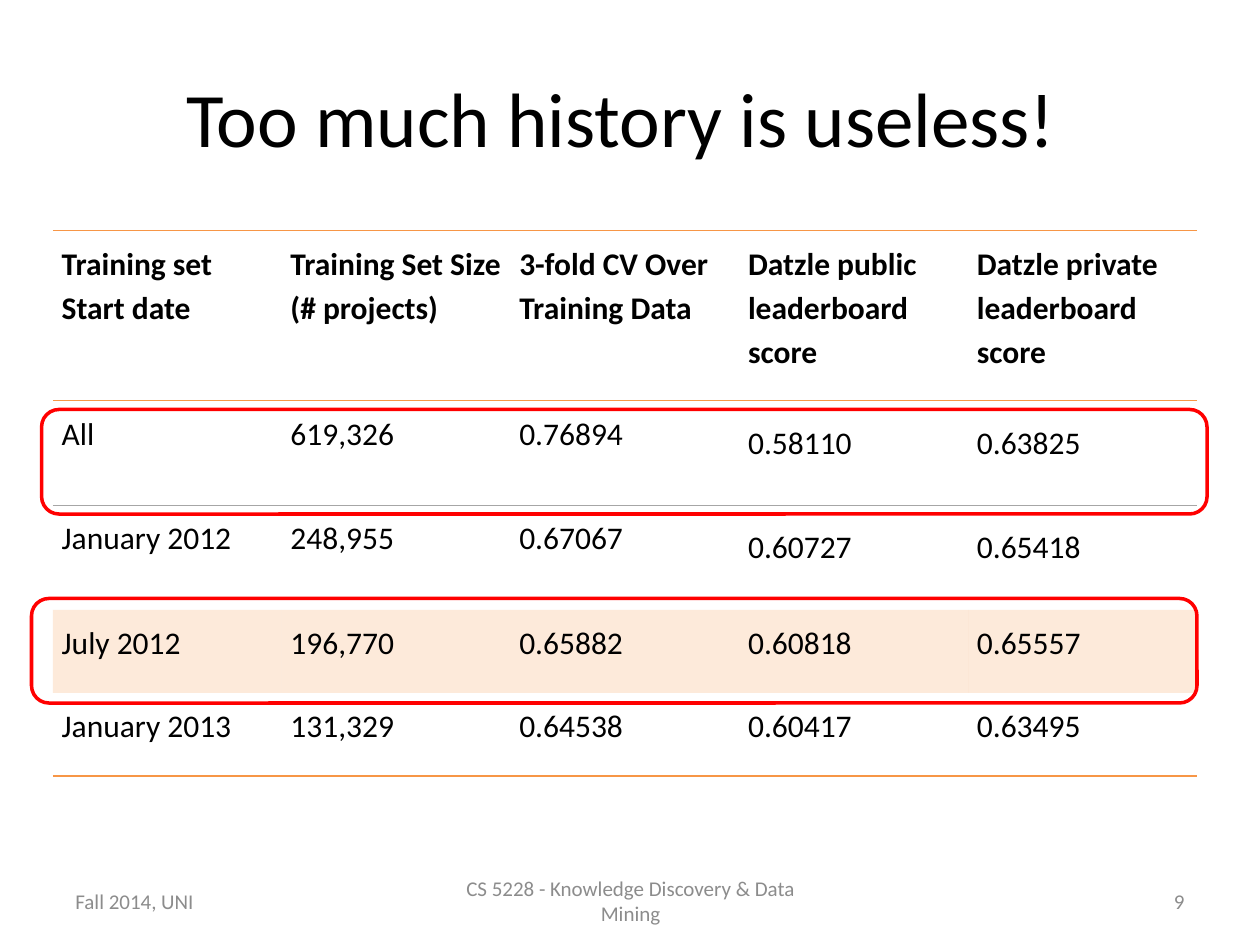
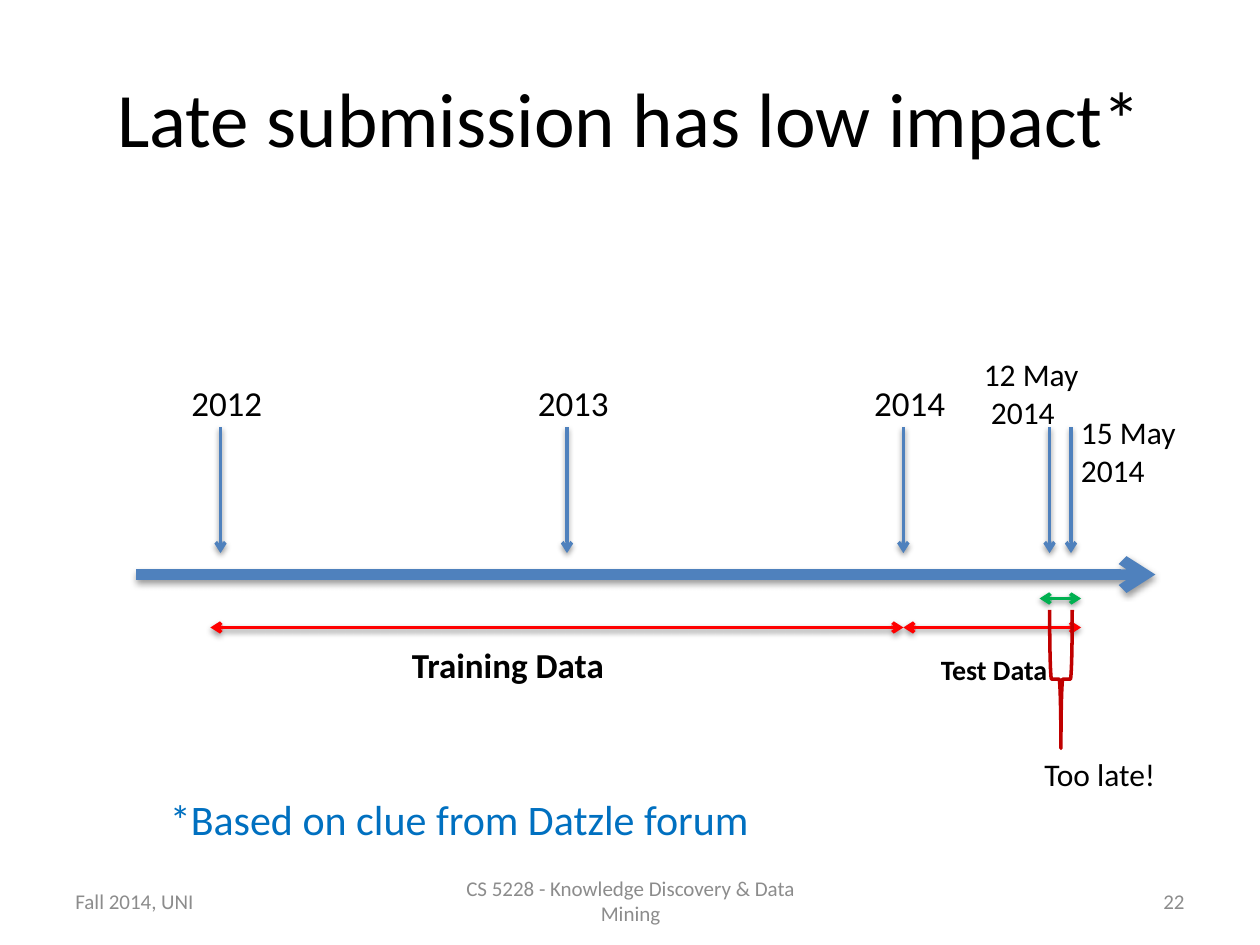
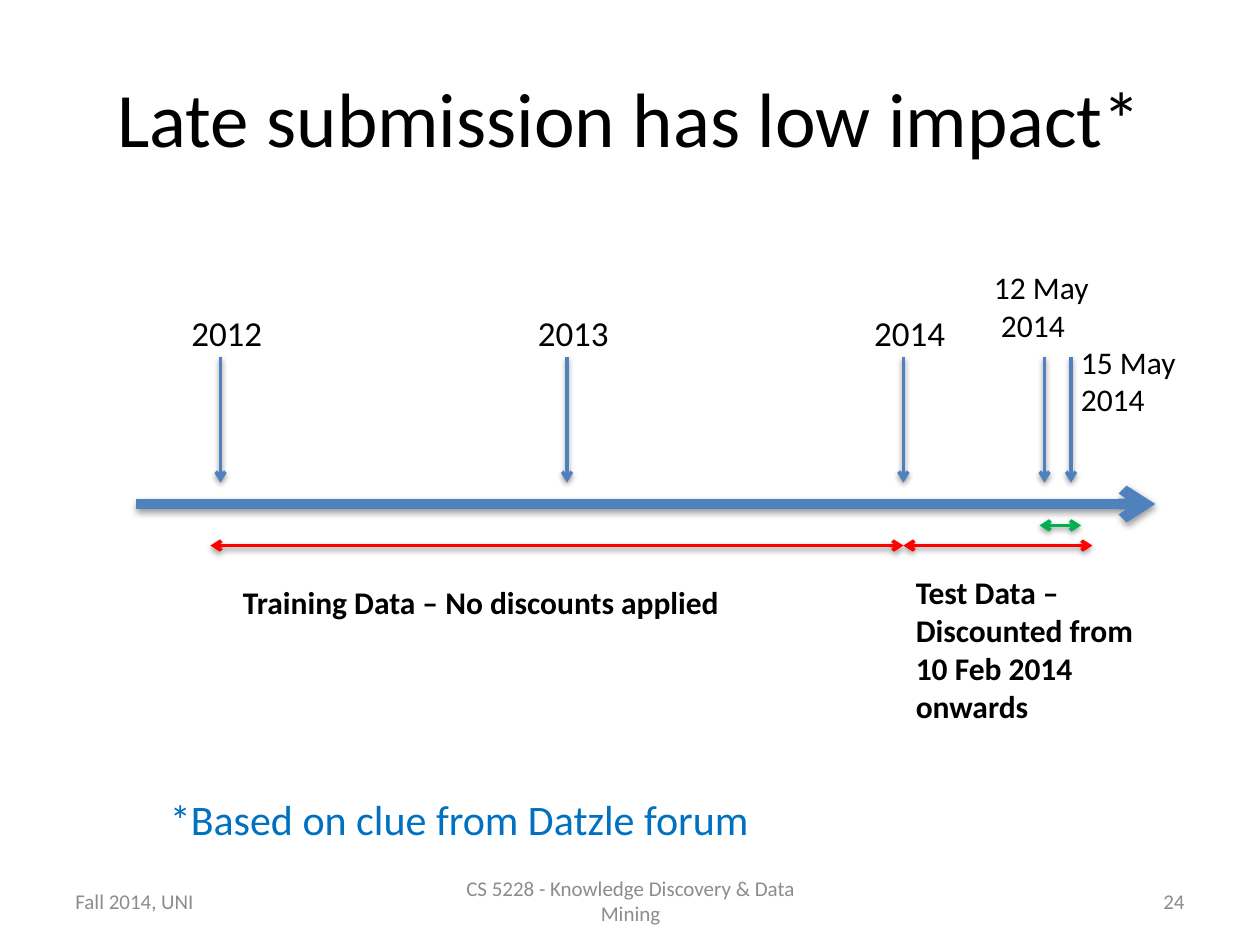
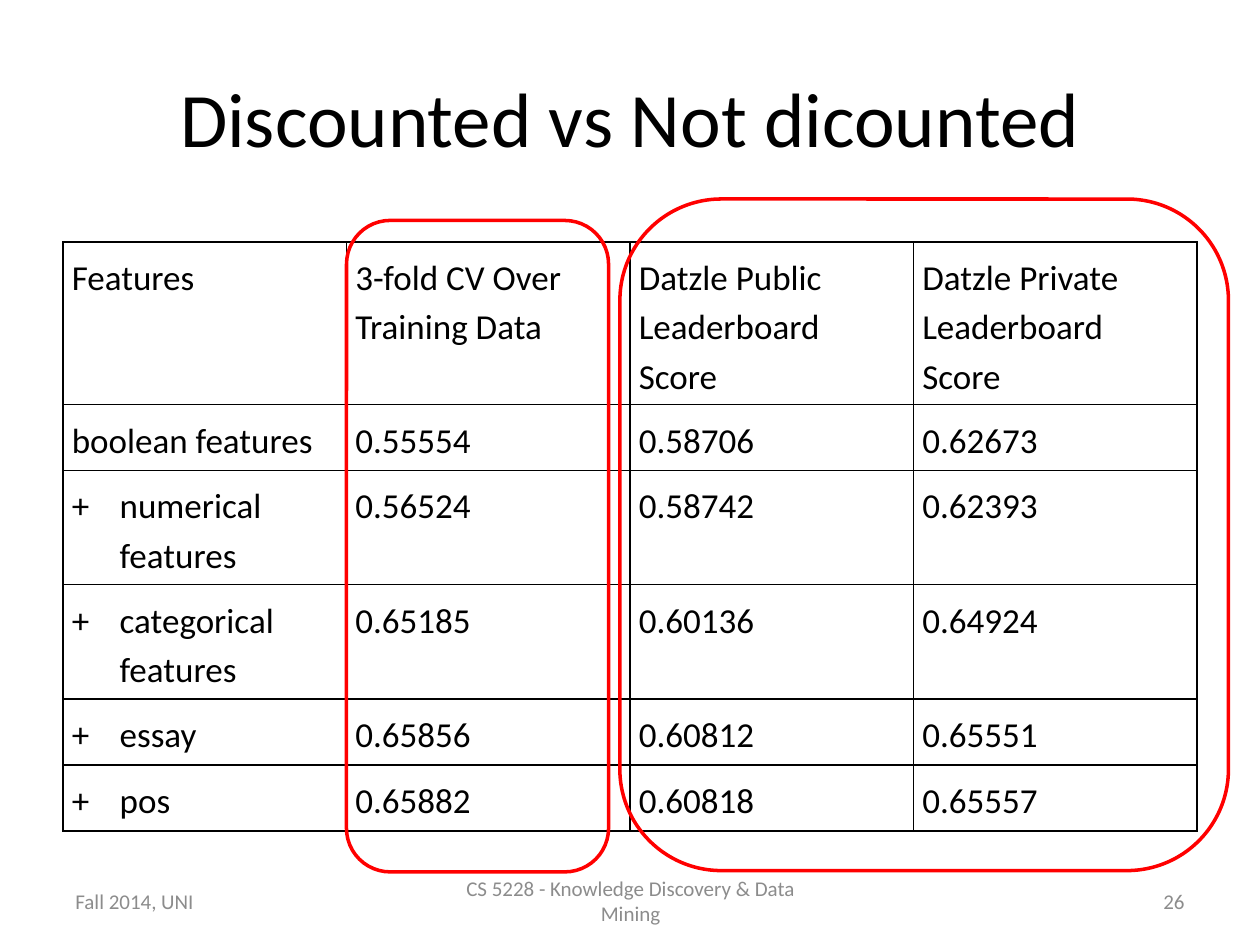
"""Build four slides on training history, submission timing and discounting."""
from lxml import etree
from pptx import Presentation, util as u
from pptx.dml.color import RGBColor
from pptx.enum import shapes, text
from pptx.oxml.ns import qn

WIDTH, HEIGHT = 10, 7.5
FONT = "Calibri"
BLACK, GRAY, RED, BLUE = "000000", "8C8C8C", "FF0000", "4F81BD"
GREEN, DARK_RED, NOTE_BLUE, ORANGE = "00B050", "C00000", "0070C0", "F79646"
WHITE, RULE_GRAY = "FFFFFF", "A6A6A6"
LEFT, CENTER, RIGHT = text.PP_ALIGN.LEFT, text.PP_ALIGN.CENTER, text.PP_ALIGN.RIGHT
NO_STYLE = "{2D5ABB26-0587-4C30-8999-92F81FD0307C}"

FOOTERS = [
    ("Fall 2014, UNI", 0.5, 2.33, LEFT),
    ("CS 5228 - Knowledge Discovery & Data Mining", 3.42, 3.17, CENTER),
]

HISTORY = {
    "title": "Too much history is useless! ",
    "number": 9,
    "rows": [
        ["Training set Start date", "Training Set Size (# projects)",
         "3-fold CV Over Training Data", "Datzle public leaderboard score",
         "Datzle private leaderboard\nscore"],
        ["All", "619,326", "0.76894", "0.58110", "0.63825"],
        ["January 2012", "248,955", "0.67067", "0.60727", "0.65418"],
        ["July 2012", "196,770", "0.65882", "0.60818", "0.65557"],
        ["January 2013", "131,329", "0.64538", "0.60417", "0.63495"],
    ],
    "box": (0.42, 1.83, 9.08, 4.33),
    "heights": [1.35, 0.83, 0.83, 0.66, 0.66],
    "size": 18,
    "bold_header": True,
    "edges": {0: {"T": (ORANGE, 1), "B": (ORANGE, 1)},
              1: {"T": (RULE_GRAY, 0.5)},
              4: {"B": (ORANGE, 1)}},
    "fills": {1: WHITE, 3: ORANGE},
    "deep_cells": [(row, column) for row in (1, 2) for column in (3, 4)],
    "rings": [(0.33, 3.25, 9.25, 0.83), (0.25, 4.75, 9.25, 0.83)],
}

DISCOUNT = {
    "title": "Discounted vs Not dicounted",
    "number": 26,
    "rows": [
        ["Features", "3-fold CV Over Training Data",
         "Datzle Public Leaderboard Score", "Datzle Private Leaderboard Score"],
        ["boolean features", "0.55554", "0.58706", "0.62673"],
        ["numerical features", "0.56524", "0.58742", "0.62393"],
        ["categorical features", "0.65185", "0.60136", "0.64924"],
        ["essay", "0.65856", "0.60812", "0.65551"],
        ["pos", "0.65882", "0.60818", "0.65557"],
    ],
    "box": (0.5, 1.92, 9, 4.67),
    "heights": [0.41] * 6,
    "size": 20,
    "edges": {row: {side: (BLACK, 1) for side in "LRTB"} for row in range(6)},
    "plus_rows": range(2, 6),
    "rings": [(2.75, 1.75, 2.08, 5.17), (4.92, 1.58, 4.83, 5.33)],
}

TIMELINE_TITLE = "Late submission has low impact*"
YEARS = [("2012", 1.75), ("2013", 4.5), ("2014", 7.17)]
TRAIN_START, TEST_START, LAST_DAY = 1.67, 7.17, 8.5
LATE_SPAN = (8.25, 8.58)

LATE = {
    "number": 22, "axis": 4.56, "may_12": 8.33, "may_12_label": (7.71, 2.77),
    "span_drop": 0.42, "late_drop": 0.19, "test_end": 8.58,
    "labels": [
        ("Training Data", (3.17, 5.06, 1.83, 0.44), 20, True, LEFT),
        ("Test Data ", (7.25, 5.13, 1.33, 0.37), 16, True, CENTER),
        ("Too late!", (8.19, 5.94, 1.23, 0.4), 18, False, LEFT),
    ],
    "brace": (7.87, 5.3, 1.1, 0.18),
}
DISCOUNTED = {
    "number": 24, "axis": 4, "may_12": 8.29, "may_12_label": (7.79, 2.08),
    "span_drop": 0.33, "late_drop": 0.17, "test_end": 8.67,
    "labels": [
        ("Training Data – No discounts applied", (1.83, 4.58, 4.25, 0.4), 18, True, LEFT),
        ("Test Data –Discounted from 10 Feb 2014 onwards", (7.17, 4.5, 2.17, 1.33),
         18, True, LEFT),
    ],
}


def color(value):
    return RGBColor.from_string(value)


def inches(values):
    return [u.Inches(value) for value in values]


def write(frame, content, size, ink=BLACK, bold=False, align=LEFT, spacing=None):
    for index, line in enumerate(content.split("\n")):
        paragraph = frame.add_paragraph() if index else frame.paragraphs[0]
        paragraph.alignment = align
        if spacing:
            paragraph.line_spacing = spacing
        run = paragraph.add_run()
        run.text = line
        run.font.name, run.font.size, run.font.bold = FONT, u.Pt(size), bold
        run.font.color.rgb = color(ink)


def add_label(slide, content, box, size, bold=False, align=LEFT, ink=BLACK, wrap=True):
    frame = slide.shapes.add_textbox(*inches(box)).text_frame
    frame.word_wrap = wrap
    frame.auto_size = text.MSO_AUTO_SIZE.SHAPE_TO_FIT_TEXT
    write(frame, content, size, ink, bold, align)


def add_slide(presentation, title, number):
    slide = presentation.slides.add_slide(presentation.slide_layouts[5])
    placeholder = slide.shapes.title
    placeholder.left, placeholder.top, placeholder.width, placeholder.height = inches(
        (0.5, 0.3, 9, 1.25))
    placeholder.text_frame.vertical_anchor = text.MSO_ANCHOR.MIDDLE
    write(placeholder.text_frame, title, 44, align=CENTER)
    for content, left, width, align in FOOTERS + [(str(number), 7.17, 2.33, RIGHT)]:
        frame = slide.shapes.add_textbox(*inches((left, 6.95, width, 0.4))).text_frame
        frame.word_wrap = True
        frame.vertical_anchor = text.MSO_ANCHOR.MIDDLE
        write(frame, content, 12, GRAY, align=align)
    return slide


def add_outline(slide, kind, box, ink):
    shape = slide.shapes.add_shape(kind, *inches(box))
    shape.shadow.inherit = False
    shape.fill.background()
    shape.line.color.rgb = color(ink)
    shape.line.width = u.Pt(2)
    return shape


def add_arrow(slide, start, end, ink=BLUE, width=2, both=False):
    connector = slide.shapes.add_connector(
        shapes.MSO_CONNECTOR.STRAIGHT, *inches(start + end))
    connector.line.color.rgb = color(ink)
    connector.line.width = u.Pt(width)
    line = connector.element.xpath(".//a:ln")[0]
    for tag in (["a:headEnd"] if both else []) + ["a:tailEnd"]:
        etree.SubElement(line, qn(tag), type="arrow")
    effects = etree.SubElement(connector.element.spPr, qn("a:effectLst"))
    shadow = etree.SubElement(effects, qn("a:outerShdw"), blurRad="40000",
                              dist="20000", dir="5400000", rotWithShape="0")
    ink_element = etree.SubElement(shadow, qn("a:srgbClr"), val=BLACK)
    etree.SubElement(ink_element, qn("a:alpha"), val="38000")


def set_borders(properties, edges):
    for side in "LRTB":
        if side in edges:
            ink, width = edges[side]
            line = etree.SubElement(properties, qn("a:ln" + side), w=str(u.Pt(width)))
            fill = etree.SubElement(line, qn("a:solidFill"))
            etree.SubElement(fill, qn("a:srgbClr"), val=ink)


def set_fill(cell, properties, ink):
    if not ink:
        cell.fill.background()
        return
    cell.fill.solid()
    cell.fill.fore_color.rgb = color(ink)
    tint = properties.find(qn("a:solidFill")).find(qn("a:srgbClr"))
    etree.SubElement(tint, qn("a:alpha"), val="20000")


def add_plus_bullet(properties):
    properties.set("marL", str(u.Inches(0.38)))
    properties.set("indent", str(-u.Inches(0.38)))
    etree.SubElement(properties, qn("a:buFont"), typeface=FONT)
    etree.SubElement(properties, qn("a:buChar"), char="+")


def add_table_slide(presentation, data):
    slide = add_slide(presentation, data["title"], data["number"])
    rows, box = data["rows"], data["box"]
    graphic = slide.shapes.add_table(len(rows), len(rows[0]), *inches(box))
    table = graphic.table
    table.first_row = table.horz_banding = False
    next(graphic.element.iter(qn("a:tableStyleId"))).text = NO_STYLE
    cell_elements = list(graphic.element.iter(qn("a:tc")))
    for row_index, (row, height) in enumerate(zip(rows, data["heights"])):
        table.rows[row_index].height = u.Inches(height)
        for column_index, content in enumerate(row):
            cell = table.cell(row_index, column_index)
            element = cell_elements[row_index * len(row) + column_index]
            deep = (row_index, column_index) in data.get("deep_cells", [])
            cell.margin_left = cell.margin_right = u.Inches(0.07)
            cell.margin_top = cell.margin_bottom = u.Inches(0.14 if deep else 0.07)
            bold = data.get("bold_header", False) and row_index == 0
            write(cell.text_frame, content, data["size"], bold=bold, spacing=1.15)
            properties = element.find(qn("a:tcPr"))
            set_borders(properties, data["edges"].get(row_index, {}))
            set_fill(cell, properties, data.get("fills", {}).get(row_index))
            if column_index == 0 and row_index in data.get("plus_rows", []):
                add_plus_bullet(next(element.iter(qn("a:pPr"))))
    graphic.height = u.Inches(box[3])
    for ring in data["rings"]:
        add_outline(slide, shapes.MSO_SHAPE.ROUNDED_RECTANGLE, ring, RED)


def add_timeline_slide(presentation, data):
    slide = add_slide(presentation, TIMELINE_TITLE, data["number"])
    axis = data["axis"]
    add_arrow(slide, (1.08, axis), (9.17, axis), width=6)
    for x in [x for _, x in YEARS] + [data["may_12"], LAST_DAY]:
        add_arrow(slide, (x, axis - 1.17), (x, axis - 0.17))
    for year, x in YEARS:
        add_label(slide, year, (x - 0.33, axis - 1.58, 0.77, 0.44), 20, wrap=False)
    add_label(slide, "12 May\n 2014", data["may_12_label"] + (0.96, 0.71), 18, wrap=False)
    add_label(slide, "15 May\n2014", (8.48, axis - 1.33, 1.02, 0.71), 18, wrap=False)
    spans = [
        (TRAIN_START, TEST_START, data["span_drop"], RED),
        (*LATE_SPAN, data["late_drop"], GREEN),
        (TEST_START, data["test_end"], data["span_drop"], RED),
    ]
    for start, end, drop, ink in spans:
        add_arrow(slide, (start, axis + drop), (end, axis + drop), ink, both=True)
    add_label(slide, "*Based on clue from Datzle forum", (1.25, 6.25, 4.88, 0.5), 24,
              ink=NOTE_BLUE, wrap=False)
    for label in data["labels"]:
        add_label(slide, *label)
    if "brace" in data:
        brace = add_outline(slide, shapes.MSO_SHAPE.RIGHT_BRACE, data["brace"], DARK_RED)
        brace.rotation = 90


def main():
    presentation = Presentation()
    presentation.slide_width, presentation.slide_height = inches((WIDTH, HEIGHT))
    add_table_slide(presentation, HISTORY)
    add_timeline_slide(presentation, LATE)
    add_timeline_slide(presentation, DISCOUNTED)
    add_table_slide(presentation, DISCOUNT)
    presentation.save("out.pptx")


if __name__ == "__main__":
    main()
